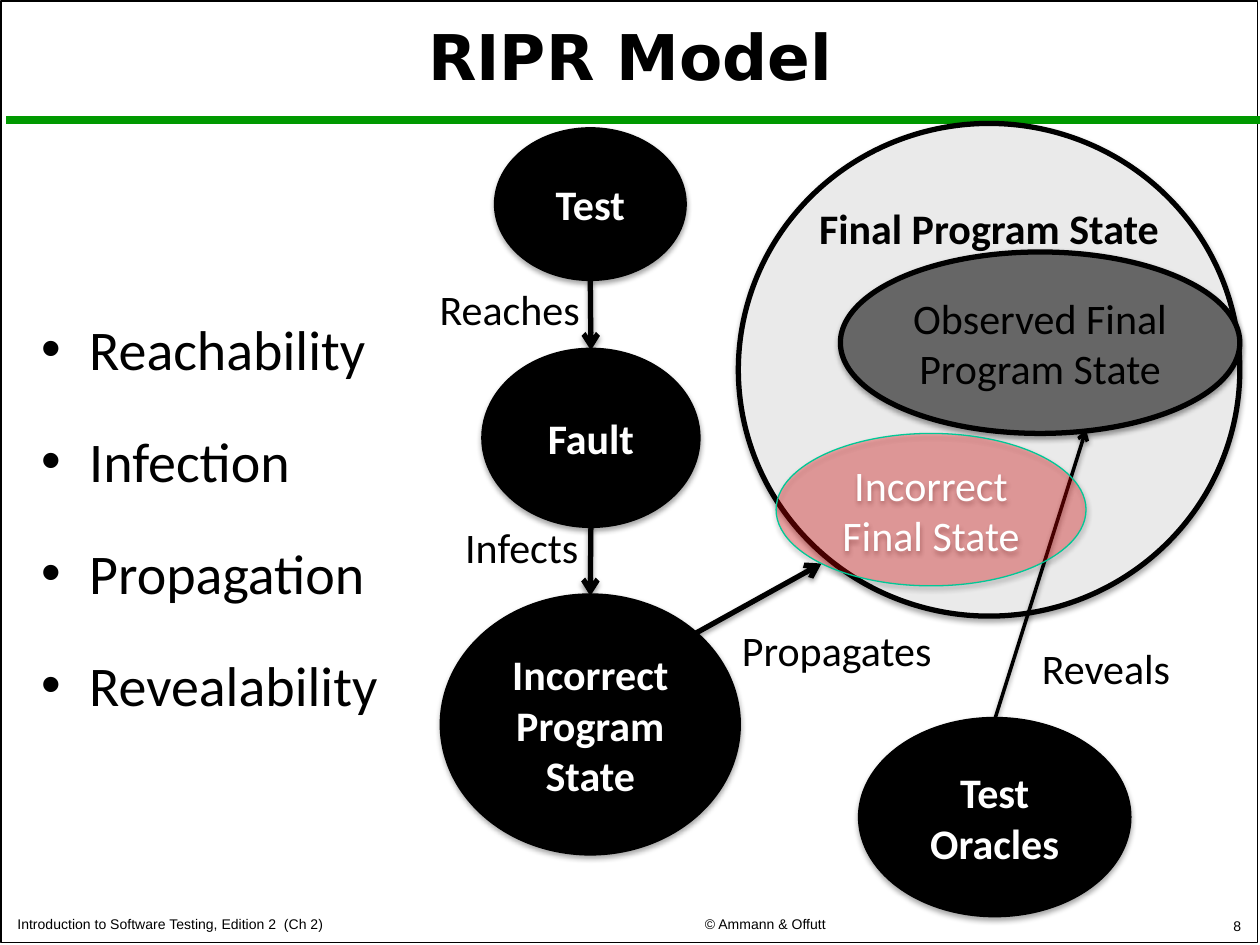
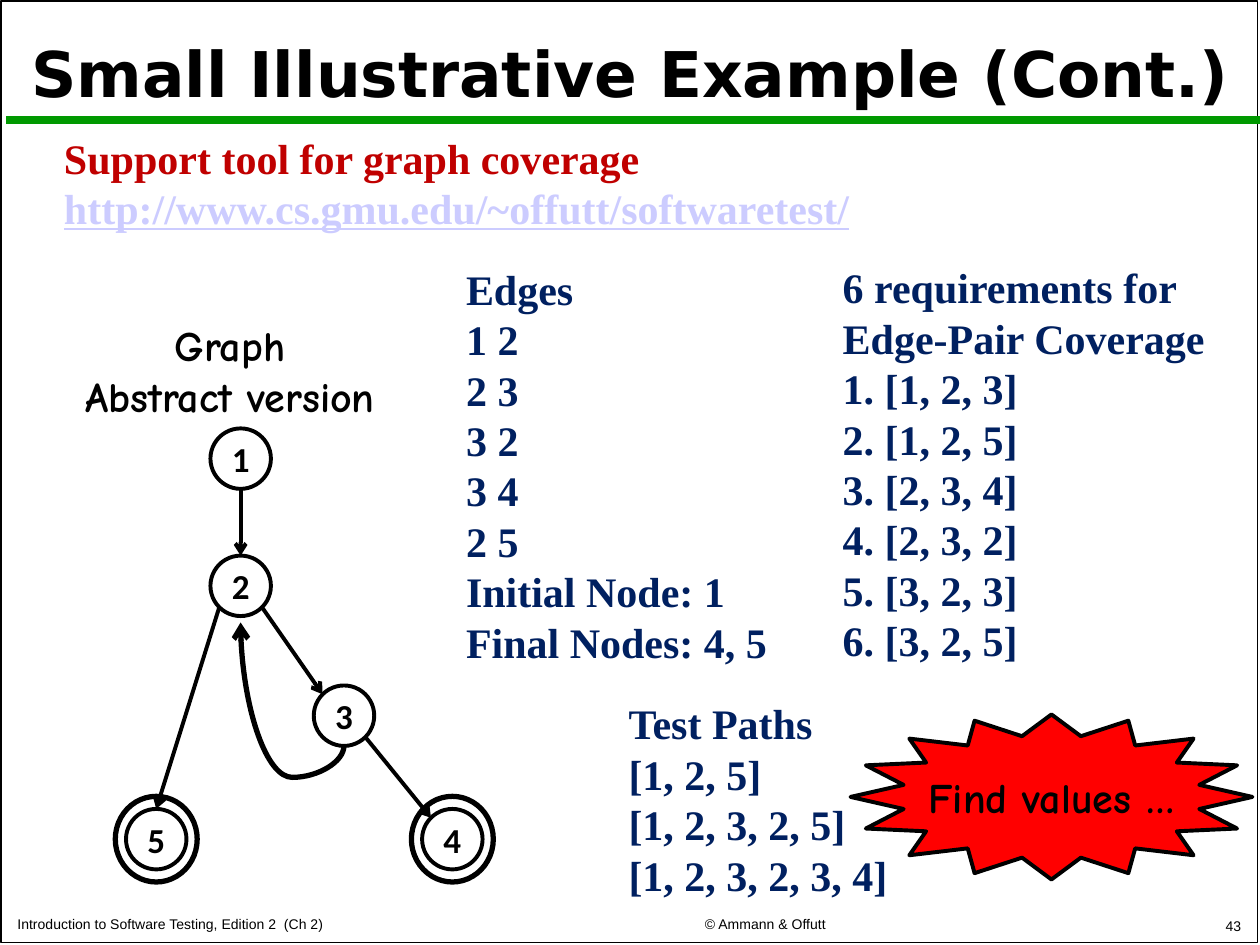
"""Builds two software testing slides: the RIPR model and a graph coverage example."""
from math import cos, radians, sin

from lxml import etree
from pptx import Presentation
from pptx.dml.color import RGBColor
from pptx.enum.shapes import MSO_CONNECTOR as Line, MSO_SHAPE as Preset
from pptx.enum.text import MSO_ANCHOR as Anchor, PP_ALIGN as Align
from pptx.oxml.ns import qn
from pptx.util import Inches, Pt

BLACK, WHITE, GREEN, RED = "000000", "FFFFFF", "009900", "FF0000"
LIGHT_GRAY, DARK_GRAY, TEAL = "EAEAEA", "666666", "00C896"
CRIMSON, LAVENDER, NAVY = "C00000", "CCCCFF", "002060"
BODY, SERIF, HAND, TITLE_FONT, FOOTER_FONT = (
    "Calibri", "Times New Roman", "Comic Neue", "DejaVu Sans", "Arial")
LEFT, CENTER, RIGHT = Align.LEFT, Align.CENTER, Align.RIGHT

FOOTERS = [
    ((0.04, 7.18, 4.2, 0.27), "Introduction to Software Testing, Edition 2  (Ch 2)", LEFT),
    ((4.49, 7.17, 3.17, 0.28), "© Ammann & Offutt", CENTER),
]
PAGE_NUMBER_BOX = (7.87, 7.17, 2.08, 0.29)

PROPERTIES_BOX = (0.23, 1.07, 3.19, 5.78)
PROPERTIES = ["Reachability", "Infection", "Propagation", "Revealability"]
TEST, FAULT = (3.94, 1.03, 1.49, 1.18), (3.84, 2.78, 1.7, 1.39)
INCORRECT_STATE, ORACLES = (3.51, 4.73, 2.35, 2.04), (6.83, 5.71, 2.13, 1.55)
FINAL_STATE, OBSERVED_STATE = (5.86, 0.98, 3.98, 3.91), (6.67, 2, 3.17, 1.44)
INCORRECT_FINAL = (6.16, 3.44, 2.46, 1.21)
STAGES = [(TEST, "Test"), (FAULT, "Fault"), (INCORRECT_STATE, "Incorrect Program State"),
          (ORACLES, "Test Oracles")]
REVEALED_POINT = (8.62, 3.41)
STAGE_LABELS = [
    ((3.19, 2.2, 1.51, 0.5), "Reaches", RIGHT),
    ((3.53, 4.09, 1.16, 0.5), "Infects", RIGHT),
    ((5.79, 4.91, 1.85, 0.5), "Propagates", LEFT),
    ((8.17, 5.05, 1.4, 0.5), "Reveals", LEFT),
]

TOOL_BOX = (0.41, 1, 9.2, 0.91)
TOOL_LINES = ["Support tool for graph coverage", "http://www.cs.gmu.edu/~offutt/softwaretest/"]
NODE_SIZE, RING_SIZE = (0.48, 0.48), (0.65, 0.68)
NODE_CENTERS = {1: (1.91, 3.64), 2: (1.91, 4.65), 3: (2.73, 5.68), 4: (3.59, 6.66), 5: (1.24, 6.66)}
FINAL_NODES = [4, 5]
EDGES = [(1, "bottom", 2, "top"), (2, "bottom left", 5, "top"),
         (3, "bottom right", 4, "top left"), (2, "bottom right", 3, "top left")]
GRAPH_TITLE_BOX = (0.18, 2.49, 3.29, 0.91)
GRAPH_TITLE = ["Graph", "Abstract version"]
LISTINGS = [
    ((3.6, 2.04, 2.65, 3.33),
     ["Edges", "1 2", "2 3", "3 2", "3 4", "2 5", "Initial Node: 1", "Final Nodes: 4, 5"]),
    ((6.59, 2.03, 3.14, 3.33),
     ["6 requirements for Edge-Pair Coverage", "1. [1, 2, 3]", "2. [1, 2, 5]", "3. [2, 3, 4]",
      "4. [2, 3, 2]", "5. [3, 2, 3]", "6. [3, 2, 5]"]),
    ((4.89, 5.49, 2.33, 1.72),
     ["Test Paths", "[1, 2, 5]", "[1, 2, 3, 2, 5]", "[1, 2, 3, 2, 3, 4]"]),
]

SITE_ANGLES = {"top": -90, "bottom": 90, "top left": -135, "top right": -45,
               "bottom left": 135, "bottom right": 45}


def color(hex_string):
    return RGBColor.from_string(hex_string)


def inches(values):
    return [Inches(value) for value in values]


def add_xml(parent, tag, **attributes):
    return etree.SubElement(parent, qn(tag), attributes)


def centered_box(center, size):
    return (center[0] - size[0] / 2, center[1] - size[1] / 2, *size)


def site(box, name):
    left, top, width, height = box
    angle = radians(SITE_ANGLES[name])
    return left + width / 2 * (1 + cos(angle)), top + height / 2 * (1 + sin(angle))


def add_effects(element, opacity=None):
    properties = element.spPr
    effects = properties.find(qn("a:effectLst"))
    if effects is None:
        effects = add_xml(properties, "a:effectLst")
    if opacity:
        shadow = add_xml(effects, "a:outerShdw", blurRad=str(Pt(3.1)), dist=str(Pt(1.7)),
                         dir="5400000", rotWithShape="0")
        tint = add_xml(shadow, "a:srgbClr", val=BLACK)
        add_xml(tint, "a:alpha", val=str(opacity * 1000))


def write(shape, lines, size=24, font=BODY, ink=BLACK, bold=False, align=LEFT,
          anchor=Anchor.TOP, wrap=True, spacing=None):
    frame = shape.text_frame
    frame.word_wrap = wrap
    frame.vertical_anchor = anchor
    frame.text = "\n".join(lines)
    for paragraph in frame.paragraphs:
        paragraph.alignment = align
        paragraph.line_spacing = spacing
        for run in paragraph.runs:
            run.font.size, run.font.name, run.font.bold = Pt(size), font, bold
            run.font.color.rgb = color(ink)
    return frame


def add_text(slide, box, lines, **style):
    return write(slide.shapes.add_textbox(*inches(box)), lines, **style)


def add_shape(slide, preset, box, fill=None, line=None, weight=3, opacity=None):
    shape = slide.shapes.add_shape(preset, *inches(box))
    if fill:
        shape.fill.solid()
        shape.fill.fore_color.rgb = color(fill)
    else:
        shape.fill.background()
    if line:
        shape.line.color.rgb = color(line)
        shape.line.width = Pt(weight)
    else:
        shape.line.fill.background()
    shape.shadow.inherit = False
    add_effects(shape.element, opacity)
    return shape


def add_line(slide, start, end, ink=BLACK, weight=3, arrow=True, opacity=None,
             kind=Line.STRAIGHT):
    connector = slide.shapes.add_connector(kind, *inches((*start, *end)))
    connector.line.color.rgb = color(ink)
    connector.line.width = Pt(weight)
    if arrow:
        add_xml(connector.element.spPr.find(qn("a:ln")), "a:tailEnd", type="arrow")
    add_effects(connector.element, opacity)
    return connector


def add_loop(slide, box, bend):
    left, top, width, height = box
    connector = add_line(slide, (left, top), (left + width, top + height), kind=Line.CURVE)
    transform = connector.element.spPr.find(qn("a:xfrm"))
    transform.set("rot", "5400000")
    transform.set("flipH", "1")
    geometry = connector.element.spPr.find(qn("a:prstGeom"))
    add_xml(geometry.find(qn("a:avLst")), "a:gd", name="adj1", fmla=f"val {bend}")


def add_base_slide(presentation, title, title_box, number):
    slide = presentation.slides.add_slide(presentation.slide_layouts[6])
    add_shape(slide, Preset.RECTANGLE, (0.01, 0.01, 9.97, 7.47), line=BLACK, weight=1)
    add_line(slide, (0.05, 0.95), (10.02, 0.95), GREEN, 4.5, arrow=False)
    add_text(slide, title_box, [title], size=36, font=TITLE_FONT, bold=True,
             align=CENTER, anchor=Anchor.MIDDLE, spacing=0.9)
    for box, text, align in FOOTERS + [(PAGE_NUMBER_BOX, str(number), RIGHT)]:
        add_text(slide, box, [text], size=8, font=FOOTER_FONT, align=align,
                 anchor=Anchor.BOTTOM, wrap=False)
    return slide


def add_properties(slide):
    frame = add_text(slide, PROPERTIES_BOX, PROPERTIES, size=32, anchor=Anchor.MIDDLE, spacing=1.5)
    for index, paragraph in enumerate(frame.paragraphs):
        paragraph.space_before = Pt(6.4 if index else 0)
        settings = paragraph._p.get_or_add_pPr()
        settings.set("marL", str(Inches(0.38)))
        settings.set("indent", str(Inches(-0.38)))
        add_xml(settings, "a:buFont", typeface="Arial")
        add_xml(settings, "a:buChar", char="•")


def build_model(presentation):
    slide = add_base_slide(presentation, "RIPR Model", (0, 0, 10, 0.95), 8)
    add_properties(slide)
    centered = {"align": CENTER, "anchor": Anchor.MIDDLE}
    for box, text in STAGES:
        stage = add_shape(slide, Preset.OVAL, box, BLACK, BLACK, opacity=35)
        write(stage, [text], ink=WHITE, bold=True, **centered)
    add_shape(slide, Preset.OVAL, FINAL_STATE, LIGHT_GRAY, BLACK, opacity=35)
    add_text(slide, (5.86, 1.56, 3.98, 0.5), ["Final Program State"], bold=True, align=CENTER)
    observed = add_shape(slide, Preset.OVAL, OBSERVED_STATE, DARK_GRAY, BLACK, opacity=38)
    write(observed, ["Observed Final Program State"], **centered)

    for start, end, weight in [
        (site(TEST, "bottom"), site(FAULT, "top"), 3),
        (site(FAULT, "bottom"), site(INCORRECT_STATE, "top"), 3),
        (site(INCORRECT_STATE, "top right"), site(INCORRECT_FINAL, "bottom left"), 3),
        (site(ORACLES, "top"), REVEALED_POINT, 2),
    ]:
        add_line(slide, start, end, weight=weight, opacity=38)
    for box, text, align in STAGE_LABELS:
        add_text(slide, box, [text], align=align)

    incorrect = add_shape(slide, Preset.OVAL, INCORRECT_FINAL, RED, TEAL, 0.75, opacity=38)
    tint = incorrect.element.spPr.find(qn("a:solidFill")).find(qn("a:srgbClr"))
    add_xml(tint, "a:alpha", val="28000")
    write(incorrect, ["Incorrect Final State"], ink=WHITE, **centered)


def build_graph(slide):
    nodes = {name: centered_box(center, NODE_SIZE) for name, center in NODE_CENTERS.items()}
    for name in FINAL_NODES:
        add_shape(slide, Preset.OVAL, centered_box(NODE_CENTERS[name], RING_SIZE), WHITE, BLACK)
    for name, box in nodes.items():
        node = add_shape(slide, Preset.OVAL, box, WHITE, BLACK, 2.25)
        write(node, [str(name)], size=20, bold=True, align=CENTER, anchor=Anchor.MIDDLE)
    for source, source_site, target, target_site in EDGES:
        add_line(slide, site(nodes[source], source_site), site(nodes[target], target_site),
                 weight=2.25)
    add_loop(slide, (1.83, 5.02, 0.98, 0.82), -25500)
    add_text(slide, GRAPH_TITLE_BOX, GRAPH_TITLE, font=HAND, bold=True, align=CENTER)


def build_example(presentation):
    slide = add_base_slide(presentation, "Small Illustrative Example (Cont.)",
                           (0.05, 0.11, 9.9, 1), 43)
    tool = add_text(slide, TOOL_BOX, TOOL_LINES, font=SERIF, ink=CRIMSON, bold=True)
    address = tool.paragraphs[1].runs[0].font
    address.color.rgb = color(LAVENDER)
    address.underline = True
    build_graph(slide)
    for box, lines in LISTINGS:
        listing = add_shape(slide, Preset.RECTANGLE, box, WHITE)
        write(listing, lines, font=SERIF, ink=NAVY, bold=True)
    burst = add_shape(slide, Preset.STAR_16_POINT, (6.75, 5.67, 3.19, 1.31), RED, BLACK, 2.25)
    burst.adjustments[0] = 0.375
    write(burst, ["Find values …"], font=HAND, bold=True, align=CENTER,
          anchor=Anchor.MIDDLE, wrap=False)


def main():
    presentation = Presentation()
    presentation.slide_width, presentation.slide_height = Inches(10), Inches(7.5)
    build_model(presentation)
    build_example(presentation)
    presentation.save("out.pptx")


if __name__ == "__main__":
    main()
